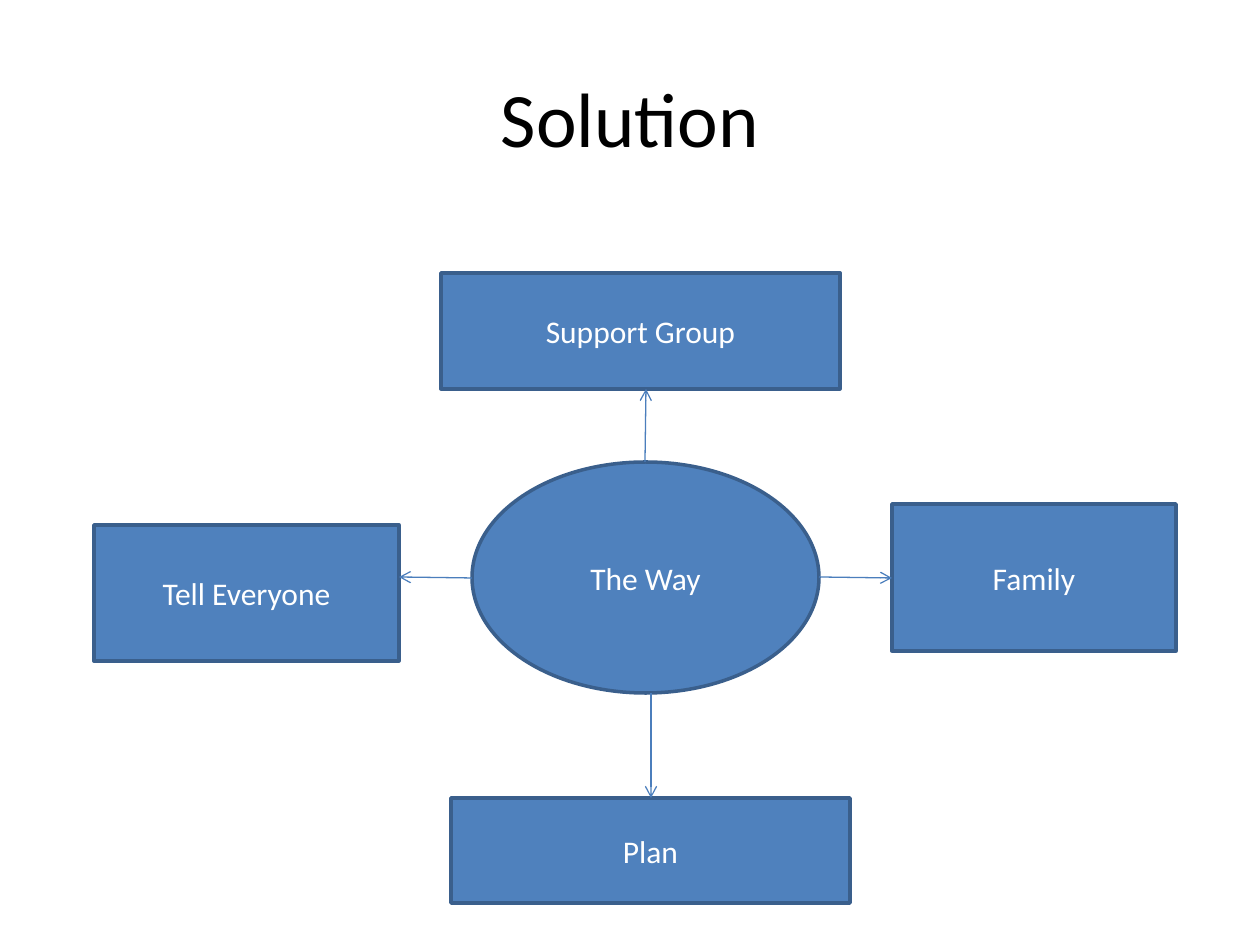
import lxml.etree
import pptx
import pptx.dml.color
import pptx.enum.shapes
import pptx.enum.text
import pptx.oxml.ns
import pptx.util

EMU_PER_PX = 914400 / 126
SHAPES = pptx.enum.shapes.MSO_SHAPE


def px(length):
    """Turn px into EMU."""
    return pptx.util.Emu(round(length * EMU_PER_PX))


def color(value):
    return pptx.dml.color.RGBColor.from_string(value)


class Diagram:
    """Holds the style and the slide that is being drawn."""

    font = "Calibri"
    node_fill = "4F81BD"
    node_line = "3A5F8C"
    arrow_line = "4B7EBC"

    def __init__(self, slide):
        self.slide = slide

    def label(self, shape, text, size, text_color):
        frame = shape.text_frame
        frame.word_wrap = True
        frame.vertical_anchor = pptx.enum.text.MSO_ANCHOR.MIDDLE
        frame.text = text
        paragraph = frame.paragraphs[0]
        paragraph.alignment = pptx.enum.text.PP_ALIGN.CENTER
        font = paragraph.runs[0].font
        font.name = self.font
        font.size = pptx.util.Pt(size)
        font.color.rgb = color(text_color)

    def title(self, text, *box):
        shape = self.slide.shapes.add_textbox(*map(px, box))
        self.label(shape, text, 44, "000000")

    def node(self, kind, text, *box):
        shape = self.slide.shapes.add_shape(kind, *map(px, box))
        shape.shadow.inherit = False
        shape.fill.solid()
        shape.fill.fore_color.rgb = color(self.node_fill)
        shape.line.color.rgb = color(self.node_line)
        shape.line.width = pptx.util.Pt(2)
        self.label(shape, text, 18, "FFFFFF")

    def arrow(self, *ends):
        """Draw a thin line with an open arrowhead at its end."""
        connector = self.slide.shapes.add_connector(
            pptx.enum.shapes.MSO_CONNECTOR.STRAIGHT, *map(px, ends))
        connector.line.color.rgb = color(self.arrow_line)
        connector.line.width = pptx.util.Pt(0.75)
        qn = pptx.oxml.ns.qn
        properties = connector._element.spPr
        line = properties.find(qn("a:ln"))
        lxml.etree.SubElement(line, qn("a:tailEnd"), type="arrow")
        lxml.etree.SubElement(properties, qn("a:effectLst"))


def main():
    presentation = pptx.Presentation()
    presentation.slide_width = px(1260)
    presentation.slide_height = px(945)
    diagram = Diagram(presentation.slides.add_slide(presentation.slide_layouts[6]))

    diagram.title("Solution", 63, 38, 1134, 158)
    diagram.node(SHAPES.OVAL, "The Way", 472, 462, 347, 231)
    for text, *box in (
        ("Support Group", 441, 273, 399, 116),
        ("Family", 892, 504, 284, 147),
        ("Tell Everyone", 94, 525, 305, 136),
        ("Plan", 451, 798, 399, 105),
    ):
        diagram.node(SHAPES.RECTANGLE, text, *box)

    for ends in (
        (472, 578, 399, 577),
        (651, 693, 651, 798),
        (819, 577, 892, 578),
        (645, 462, 646, 389),
    ):
        diagram.arrow(*ends)

    presentation.save("out.pptx")


if __name__ == "__main__":
    main()
